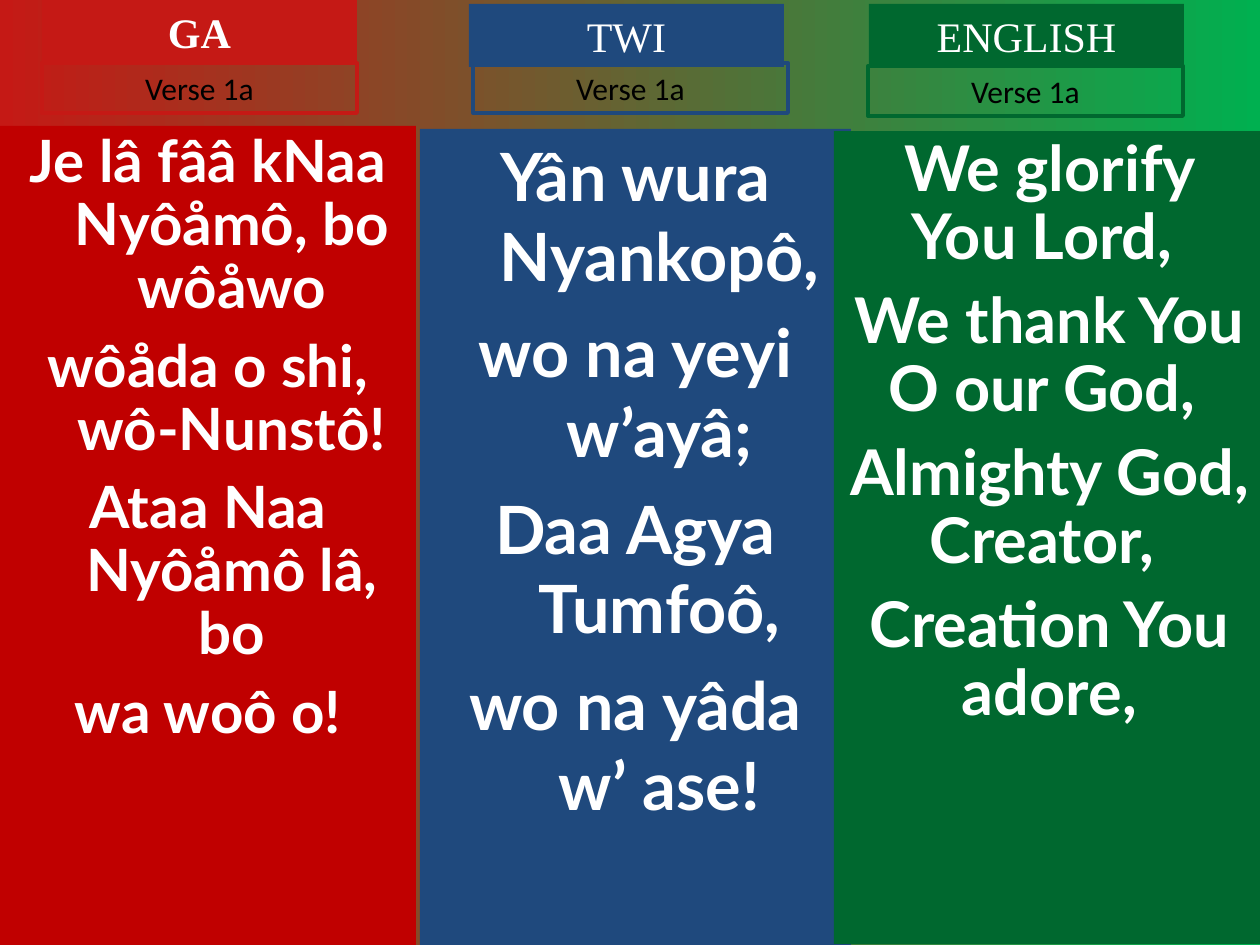
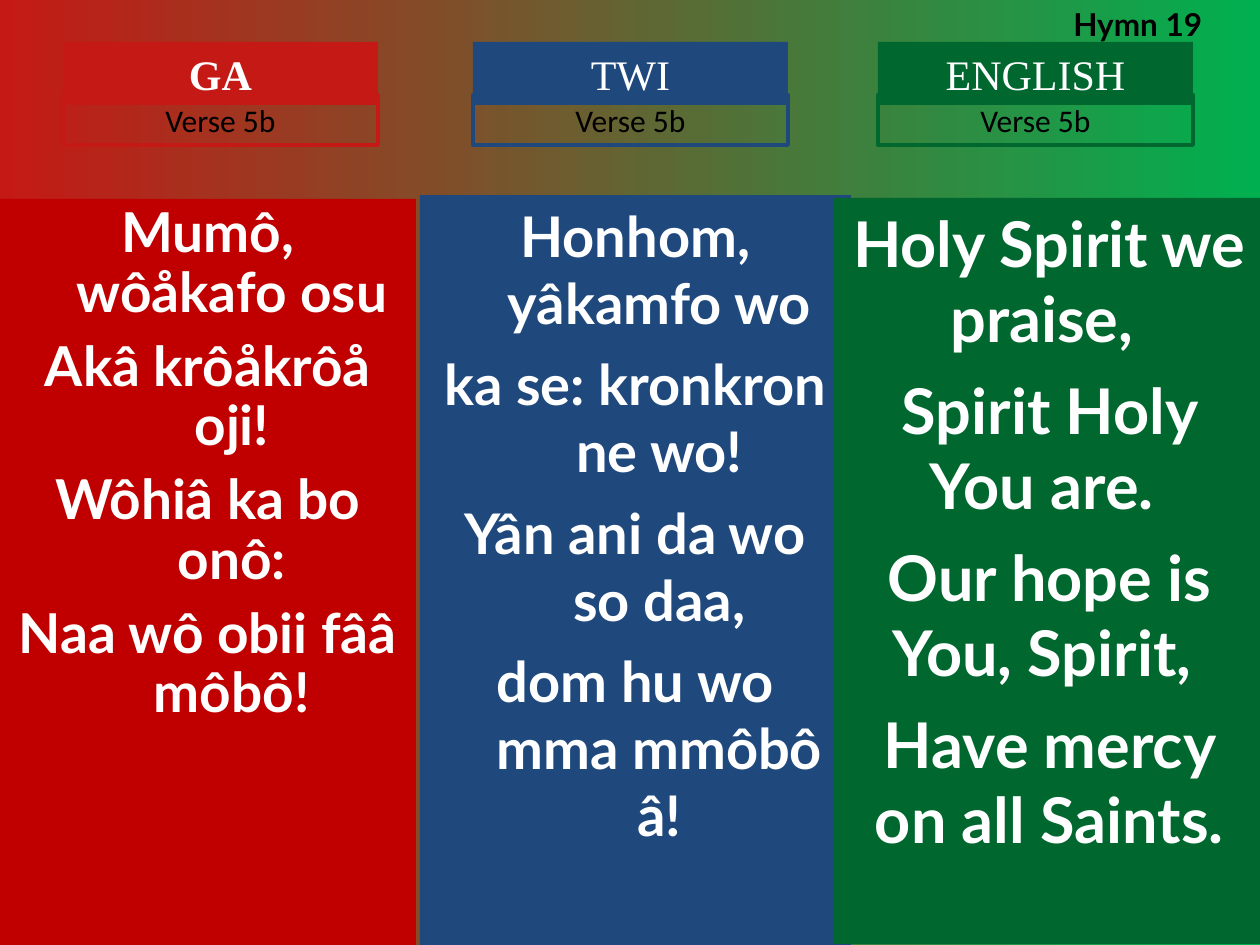
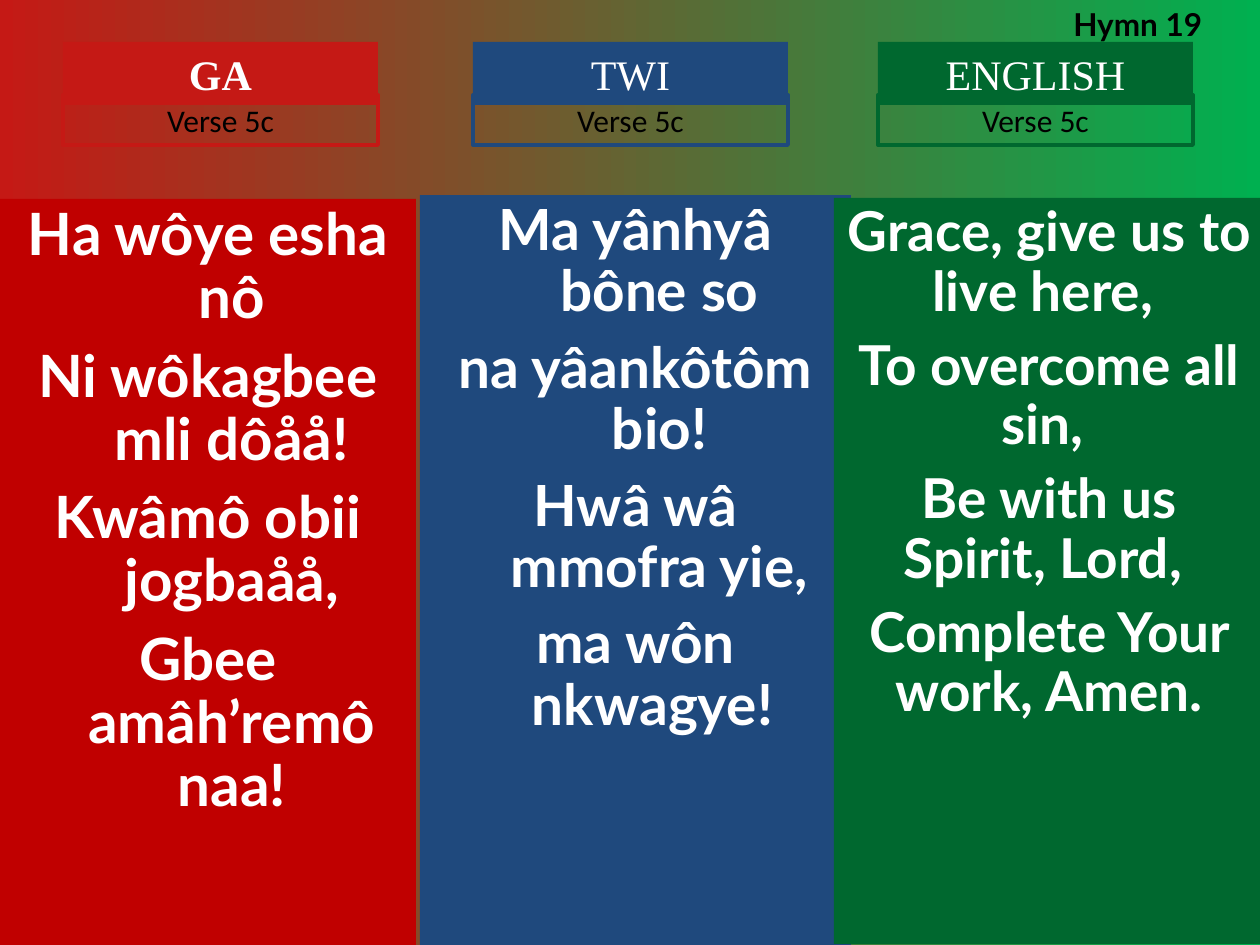
"""Build three hymn slides that set Ga, Twi and English verses side by side."""
from dataclasses import dataclass

from pptx import Presentation
from pptx.dml.color import RGBColor
from pptx.enum.shapes import MSO_SHAPE
from pptx.enum.text import MSO_ANCHOR, PP_ALIGN
from pptx.util import Emu, Pt

RECTANGLE = MSO_SHAPE.RECTANGLE
TOP = MSO_ANCHOR.TOP
CENTER = PP_ALIGN.CENTER
LEFT = PP_ALIGN.LEFT

PX_PER_INCH = 126
SLIDE_WIDTH, SLIDE_HEIGHT = 1260, 945
TAG_WIDTH, HEADING_HEIGHT, LABEL_HEIGHT = 315, 63, 50
HANGING = 48
RED, GREEN = "C51915", "00B050"
WHITE, BLACK = "FFFFFF", "000000"
VERSE_FONT, HEADING_FONT, LABEL_FONT = "Lato", "Times New Roman", "Calibri"


@dataclass(frozen=True)
class Language:
    name: str
    tag_color: str
    panel_color: str
    panel_left: int
    panel_width: int
    panel_bottom: int
    hanging: int
    bold: bool


@dataclass(frozen=True)
class Spot:
    heading_left: int
    heading_top: int
    label_left: int
    label_top: int
    panel_top: int


@dataclass(frozen=True)
class Style:
    font: str
    size: float
    color: str
    bold: bool = False
    align: PP_ALIGN = CENTER
    line_spacing: float = 1.0
    space_before: float = 0
    hanging: int = 0


@dataclass(frozen=True)
class Stanza:
    size: float
    line_spacing: float
    space_before: float
    lines: tuple[str, ...]


@dataclass(frozen=True)
class Page:
    verse: str
    hymn: str
    spots: tuple[Spot, ...]
    stanzas: tuple[Stanza, ...]


LANGUAGES = (
    Language("GA", RED, "C00000", 0, 416, 945, HANGING, True),
    Language("TWI", "1F497D", "1F497D", 420, 431, 945, HANGING, False),
    Language("ENGLISH", "00682F", "00682F", 834, 431, 944, 0, False),
)
OPENING_SPOTS = (
    Spot(42, 0, 42, 63, 126),
    Spot(469, 4, 473, 63, 129),
    Spot(869, 4, 868, 66, 131),
)
LATER_SPOTS = tuple(
    Spot(left, 42, left, 95, panel_top)
    for left, panel_top in ((63, 199), (473, 195), (878, 198))
)
PAGES = (
    Page("Verse 1a", "", OPENING_SPOTS, (
        Stanza(33.3, 0.9, 9, (
            "Je lâ fââ kNaa Nyôåmô, bo wôåwo",
            "wôåda o shi, wô-Nunstô!",
            "Ataa Naa Nyôåmô lâ, bo",
            "wa woô o!",
        )),
        Stanza(38, 1.0, 9.5, (
            "Yân wura Nyankopô,",
            "wo na yeyi w’ayâ;",
            "Daa Agya Tumfoô,",
            "wo na yâda w’ ase!",
        )),
        Stanza(36, 0.9, 9, (
            "We glorify You Lord, ",
            "We thank You O our God, ",
            "Almighty God, Creator, ",
            "Creation You adore,",
        )),
    )),
    Page("Verse 5b", "Hymn 19", LATER_SPOTS, (
        Stanza(31.4, 0.9, 8.5, (
            "Mumô, wôåkafo osu",
            "Akâ krôåkrôå oji!",
            "Wôhiâ ka bo onô:",
            "Naa wô obii fââ môbô!",
        )),
        Stanza(32, 1.0, 8, (
            "Honhom, yâkamfo wo",
            "ka se: kronkron ne wo!",
            "Yân ani da wo so daa,",
            "dom hu wo mma mmôbô â!",
        )),
        Stanza(36, 1.0, 9, (
            "Holy Spirit we praise, ",
            "Spirit Holy You are. ",
            "Our hope is You, Spirit, ",
            "Have mercy on all Saints.",
        )),
    )),
    Page("Verse 5c", "Hymn 19", LATER_SPOTS, (
        Stanza(33.3, 0.9, 9, (
            "Ha wôye esha nô",
            "Ni wôkagbee mli dôåå!",
            "Kwâmô obii jogbaåå,",
            "Gbee amâh’remô naa!",
        )),
        Stanza(32.4, 0.9, 8.8, (
            "Ma yânhyâ bône so",
            "na yâankôtôm bio!",
            "Hwâ wâ mmofra yie,",
            "ma wôn nkwagye! ",
        )),
        Stanza(31.4, 0.9, 8.5, (
            "Grace, give us to live here, ",
            "To overcome all sin, ",
            "Be with us Spirit, Lord, ",
            "Complete Your work, Amen.",
        )),
    )),
)


def px(length: int) -> Emu:
    return Emu(round(length * 914400 / PX_PER_INCH))


def rgb(color: str) -> RGBColor:
    return RGBColor.from_string(color)


def write(frame, lines: tuple[str, ...], style: Style) -> None:
    frame.word_wrap = True
    frame.vertical_anchor = TOP
    for index, line in enumerate(lines):
        paragraph = frame.add_paragraph() if index else frame.paragraphs[0]
        paragraph.text = line
        paragraph.alignment = style.align
        paragraph.line_spacing = style.line_spacing
        if index:
            paragraph.space_before = Pt(style.space_before)
        if style.hanging:
            properties = paragraph._p.get_or_add_pPr()
            properties.set("marL", str(px(style.hanging)))
            properties.set("indent", str(-px(style.hanging)))
        paragraph.font.name = style.font
        paragraph.font.size = Pt(style.size)
        paragraph.font.bold = style.bold
        paragraph.font.color.rgb = rgb(style.color)


def add_box(slide, box: tuple[int, int, int, int], lines: tuple[str, ...],
            style: Style, fill: str = "", outline: str = "") -> None:
    rectangle = slide.shapes.add_shape(RECTANGLE, *map(px, box))
    rectangle.shadow.inherit = False
    if fill:
        rectangle.fill.solid()
        rectangle.fill.fore_color.rgb = rgb(fill)
    else:
        rectangle.fill.background()
    if outline:
        rectangle.line.color.rgb = rgb(outline)
        rectangle.line.width = Pt(2.25)
    else:
        rectangle.line.fill.background()
    write(rectangle.text_frame, lines, style)


def add_language(slide, language: Language, spot: Spot, stanza: Stanza,
                 verse: str) -> None:
    panel = (language.panel_left, spot.panel_top, language.panel_width,
             language.panel_bottom - spot.panel_top)
    add_box(slide, panel, stanza.lines,
            Style(VERSE_FONT, stanza.size, WHITE, True,
                  line_spacing=stanza.line_spacing,
                  space_before=stanza.space_before,
                  hanging=language.hanging),
            fill=language.panel_color)
    add_box(slide, (spot.heading_left, spot.heading_top, TAG_WIDTH, HEADING_HEIGHT),
            (language.name,), Style(HEADING_FONT, 24, WHITE, language.bold),
            fill=language.tag_color)
    add_box(slide, (spot.label_left, spot.label_top, TAG_WIDTH, LABEL_HEIGHT),
            (verse,), Style(LABEL_FONT, 18, BLACK), outline=language.tag_color)


def paint_background(master) -> None:
    fill = master.background.fill
    fill.gradient()
    fill.gradient_angle = 0
    for stop, color, position in zip(fill.gradient_stops, (RED, GREEN), (0, 1)):
        stop.color.rgb = rgb(color)
        stop.position = position


def main() -> None:
    deck = Presentation()
    deck.slide_width, deck.slide_height = px(SLIDE_WIDTH), px(SLIDE_HEIGHT)
    paint_background(deck.slide_master)
    blank = deck.slide_layouts.get_by_name("Blank")
    for page in PAGES:
        slide = deck.slides.add_slide(blank)
        for language, spot, stanza in zip(LANGUAGES, page.spots, page.stanzas):
            add_language(slide, language, spot, stanza, page.verse)
        if page.hymn:
            hymn = slide.shapes.add_textbox(*map(px, (1061, -1, 189, 50)))
            write(hymn.text_frame, (page.hymn,),
                  Style(VERSE_FONT, 18, BLACK, True, LEFT))
    deck.save("out.pptx")


if __name__ == "__main__":
    main()
